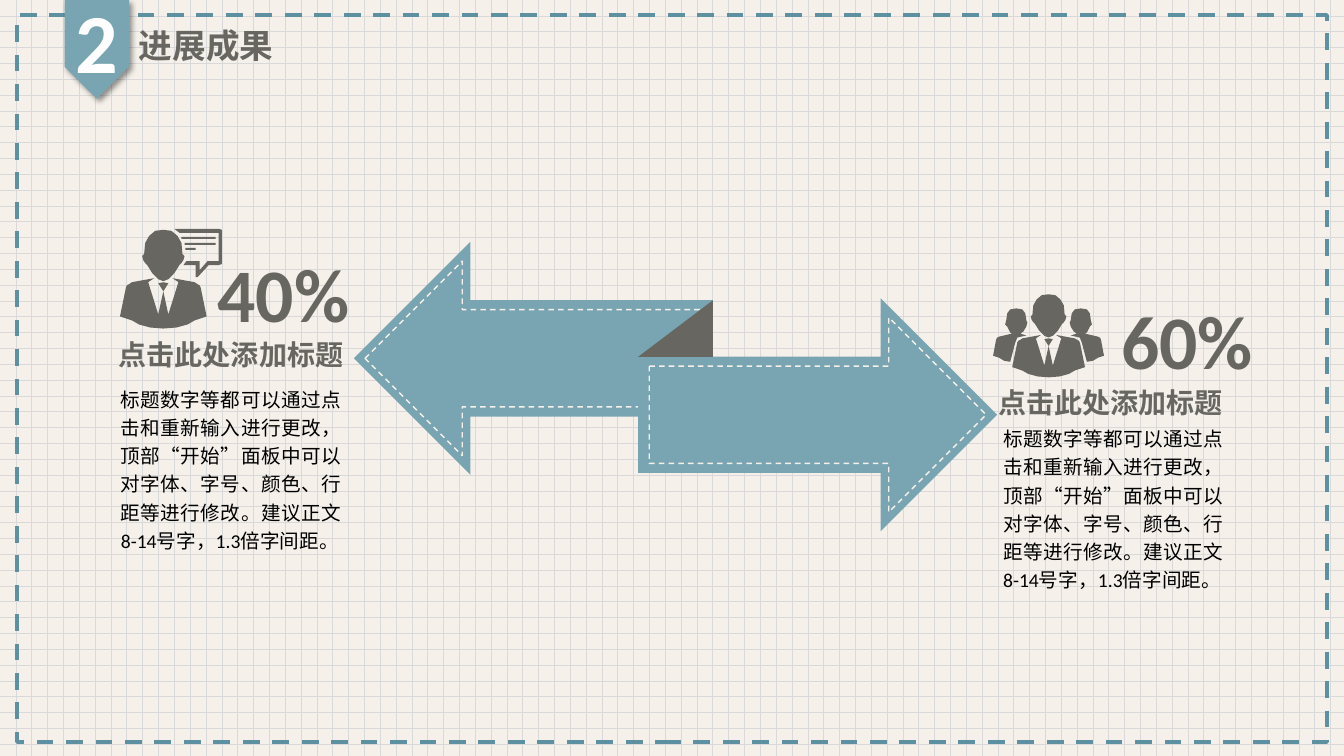
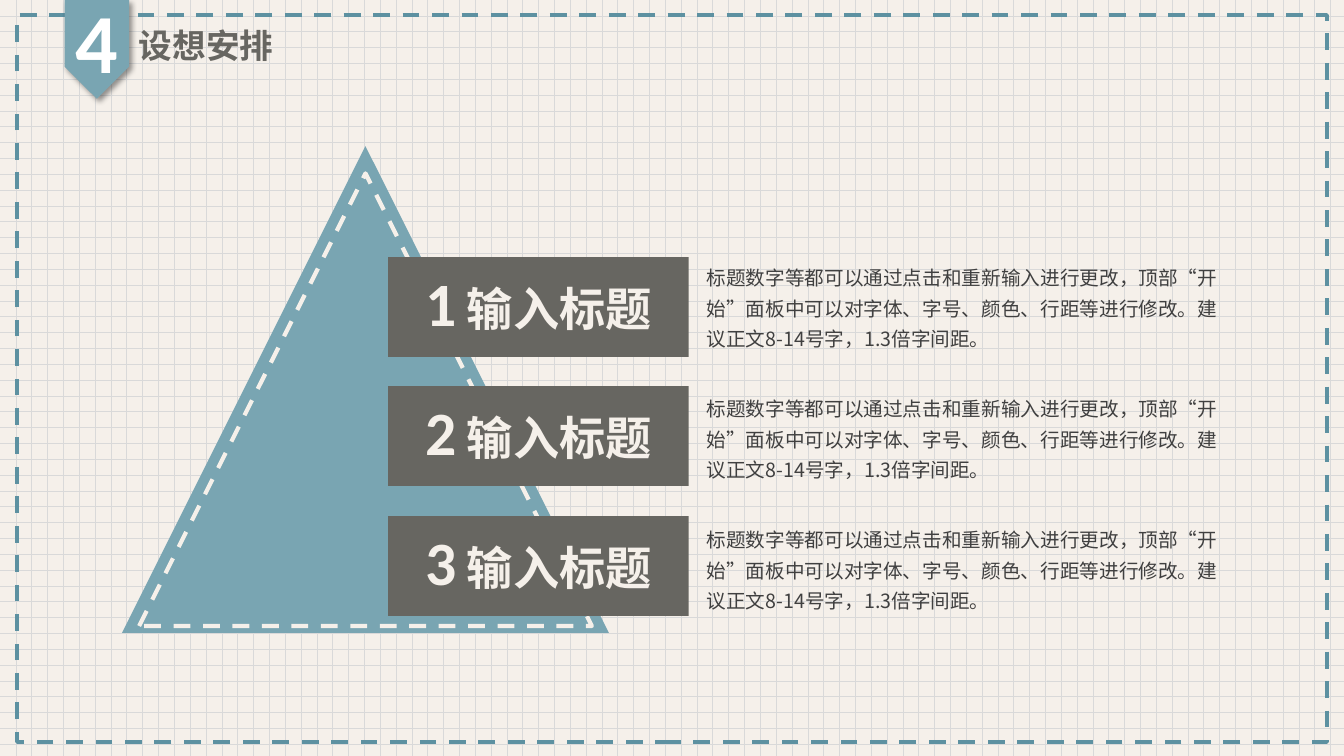
import pptx
import pptx.dml.color
import pptx.enum.dml
import pptx.enum.shapes
import pptx.enum.text
import pptx.oxml
import pptx.oxml.ns
import pptx.util

RGB = pptx.dml.color.RGBColor
SHAPE = pptx.enum.shapes.MSO_SHAPE
ALIGN = pptx.enum.text.PP_ALIGN

PX = 9144  # EMU in one px, 100 px to the inch
WIDTH, HEIGHT = 1333, 750

TEAL = RGB(0x79, 0xA5, 0xB2)
DARK_TEAL = RGB(0x5D, 0x91, 0xA1)
GREY = RGB(0x67, 0x66, 0x61)
CREAM = RGB(0xF5, 0xF0, 0xEA)
GRID = RGB(0xD9, 0xD9, 0xD9)
BODY_GREY = RGB(0x40, 0x40, 0x40)
WHITE = RGB(0xFF, 0xFF, 0xFF)
BLACK = RGB(0, 0, 0)

LATIN = "Calibri"
CJK = "Noto Sans CJK SC"

BODY = ("标题数字等都可以通过点击和重新输入进行更改，顶部“开始”面板中可以"
        "对字体、字号、颜色、行距等进行修改。建议正文8-14号字，1.3倍字间距。")

SHADOW = (
    '<a:outerShdw %s blurRad="50800" dist="38100" dir="2700000" algn="tl" rotWithShape="0">'
    '<a:srgbClr val="000000"><a:alpha val="40000"/></a:srgbClr></a:outerShdw>'
    % pptx.oxml.ns.nsdecls("a"))

# Right halves of the figure, as (distance from the axis, distance from the top)
HEAD = [(0, 0), (8, 1), (14, 6), (18, 13), (19, 24), (21, 26), (20, 30),
        (18, 33), (16, 35), (11, 43), (5, 49), (0, 51)]
TIE = [(0, 52), (5, 53), (0, 61)]
SUIT = [(0, 61), (5, 84), (15, 52), (9, 48), (31, 52), (34, 54), (36, 55),
        (37, 57), (43, 86), (31, 90), (24, 94), (13, 97), (0, 98)]
COLLEAGUE = [(52, 45), (51, 43), (49, 42), (36, 39), (38, 38), (41, 32), (43, 30),
             (42, 26), (41, 19), (38, 15), (32, 14), (26, 15), (23, 19), (22, 26),
             (21, 28), (22, 32), (25, 37), (28, 39), (22, 41), (27, 42), (31, 43),
             (33, 48), (38, 67), (44, 66), (49, 63), (55, 61)]
BUBBLE = [(173, 227), (178, 231), (217, 231), (217, 259), (206, 259), (198, 268),
          (198, 259), (185, 259), (182, 263), (194, 263), (194, 275), (196, 275),
          (207, 263), (217, 263), (220, 262), (220, 228), (217, 227)]


def px(*lengths):
    return [n * PX for n in lengths]


def paint(sp, fill=None, line=None, weight=1):
    """Fill a shape, or outline it with dashes."""
    sp.shadow.inherit = False
    if fill is None:
        sp.fill.background()
    else:
        sp.fill.solid()
        sp.fill.fore_color.rgb = fill
    if line is None:
        sp.line.fill.background()
    else:
        sp.line.color.rgb = line
        sp.line.width = pptx.util.Pt(weight)
        sp.line.dash_style = pptx.enum.dml.MSO_LINE.DASH
    return sp


def add_preset(s, kind, box, **style):
    return paint(s.shapes.add_shape(kind, *px(*box)), **style)


def add_outline(s, contours, x=0, y=0, scale=1.0, fill=GREY):
    first, *others = contours
    builder = s.shapes.build_freeform(*first[0], scale=PX * scale)
    builder.add_line_segments(first[1:], close=True)
    for points in others:
        builder.move_to(*points[0])
        builder.add_line_segments(points[1:], close=True)
    return paint(builder.convert_to_shape(*px(x, y)), fill=fill)


def style_text(p, size, color, bold=False, font=LATIN):
    p.font.name = font
    p.font.size = pptx.util.Pt(size)
    p.font.bold = bold
    p.font.color.rgb = color
    # East Asian typeface
    ea = pptx.oxml.parse_xml('<a:ea %s typeface="%s"/>' % (pptx.oxml.ns.nsdecls("a"), CJK))
    p.font._element.find(pptx.oxml.ns.qn("a:latin")).addnext(ea)


def add_text(s, text, box, size, color, wrap=False, align=ALIGN.LEFT, spacing=None, **font):
    tf = s.shapes.add_textbox(*px(*box)).text_frame
    tf.word_wrap = wrap
    tf.auto_size = pptx.enum.text.MSO_AUTO_SIZE.SHAPE_TO_FIT_TEXT
    p = tf.paragraphs[0]
    p.text = text
    p.alignment = align
    p.line_spacing = spacing
    style_text(p, size, color, **font)


def mirror(half):
    return half + [(-x, y) for x, y in reversed(half)]


def add_person(s, x, y, scale=1.0):
    for half in (SUIT, TIE, HEAD):
        add_outline(s, [mirror(half)], x, y, scale)


def add_section_slide(prs, number, title):
    """Slide with the dashed frame, the numbered ribbon and a title."""
    s = prs.slides.add_slide(prs.slide_layouts[6])
    add_preset(s, SHAPE.RECTANGLE, (17, 15, 1299, 721), line=DARK_TEAL, weight=3)
    add_text(s, title, (128, 20, 155, 50), 24, GREY, bold=True, font=CJK)
    ribbon = add_preset(s, SHAPE.PENTAGON, (47, 17, 98, 64), fill=TEAL)
    ribbon.rotation = 90
    effects = ribbon._element.spPr.find(pptx.oxml.ns.qn("a:effectLst"))
    effects.append(pptx.oxml.parse_xml(SHADOW))
    add_text(s, number, (65, -15, 63, 111), 60, WHITE, bold=True)
    return s


def add_arrow(s, kind, x, y):
    """Arrow with a stitched seam inside."""
    add_preset(s, kind, (x, y, 356, 231), fill=TEAL)
    add_preset(s, kind, (x + 11, y + 19, 334, 193), line=CREAM)


def add_share(s, share, share_at, heading_at, body_at):
    add_text(s, share, (*share_at, 152, 101), 54, GREY, bold=True)
    add_text(s, "点击此处添加标题", (*heading_at, 245, 44), 20, GREY, bold=True)
    add_text(s, BODY, (*body_at, 238, 178), 14, BLACK, wrap=True,
             align=ALIGN.JUSTIFY, spacing=1.2)


def add_band(s, number, box):
    sp = add_preset(s, SHAPE.RECTANGLE, box, fill=GREY)
    tf = sp.text_frame
    tf.word_wrap = True
    tf.vertical_anchor = pptx.enum.text.MSO_ANCHOR.MIDDLE
    tf.margin_left, tf.margin_top, tf.margin_right, tf.margin_bottom = px(19, 19, 19, 19)
    p = tf.paragraphs[0]
    p.alignment = ALIGN.CENTER
    p.line_spacing = 0.9
    style_text(p, 33, CREAM, bold=True)
    r = p.add_run()
    r.text = str(number)
    r.font.size = pptx.util.Pt(44)
    p.add_run().text = " 输入标题"


def build_results(prs):
    s = add_section_slide(prs, "2", "进展成果")
    # Folded pair of arrows
    add_arrow(s, SHAPE.LEFT_ARROW, 351, 240)
    add_arrow(s, SHAPE.RIGHT_ARROW, 633, 296)
    fold = add_preset(s, SHAPE.ISOSCELES_TRIANGLE, (633, 298, 74, 56), fill=GREY)
    fold.adjustments[0] = 1
    # Team icon
    add_person(s, 1040, 292, 0.84)
    add_outline(s, [COLLEAGUE, [(-x, y) for x, y in COLLEAGUE]], 1040, 292)
    # Speaker icon
    add_person(s, 162, 228)
    add_outline(s, [BUBBLE])
    for x, y, w in ((180, 235, 34), (183, 241, 31), (184, 246, 10)):
        add_preset(s, SHAPE.RECTANGLE, (x, y, w, 2), fill=GREY)
    # Shares and their captions
    add_share(s, "40%", (206, 240), (108, 330), (110, 375))
    add_share(s, "60%", (1102, 287), (980, 378), (985, 414))


def build_plan(prs):
    s = add_section_slide(prs, "4", "设想安排")
    # Stitched triangle
    add_preset(s, SHAPE.ISOSCELES_TRIANGLE, (121, 145, 483, 483), fill=TEAL)
    add_preset(s, SHAPE.ISOSCELES_TRIANGLE, (138, 172, 449, 449), line=CREAM, weight=3)
    # Numbered bands with their descriptions
    for i in range(3):
        add_band(s, i + 1, (385, 255 + i * 257 // 2, 298, 99))
        add_text(s, BODY, (691, 252 + i * 130, 537, 102), 14, BODY_GREY,
                 wrap=True, spacing=1.3, font=CJK)


def main():
    prs = pptx.Presentation()
    prs.slide_width, prs.slide_height = px(WIDTH, HEIGHT)
    # Grid paper behind every slide
    fill = prs.slide_master.background.fill
    fill.patterned()
    fill.pattern = pptx.enum.dml.MSO_PATTERN.DOTTED_GRID
    fill.fore_color.rgb = GRID
    fill.back_color.rgb = CREAM
    build_results(prs)
    build_plan(prs)
    prs.save("out.pptx")


if __name__ == "__main__":
    main()
